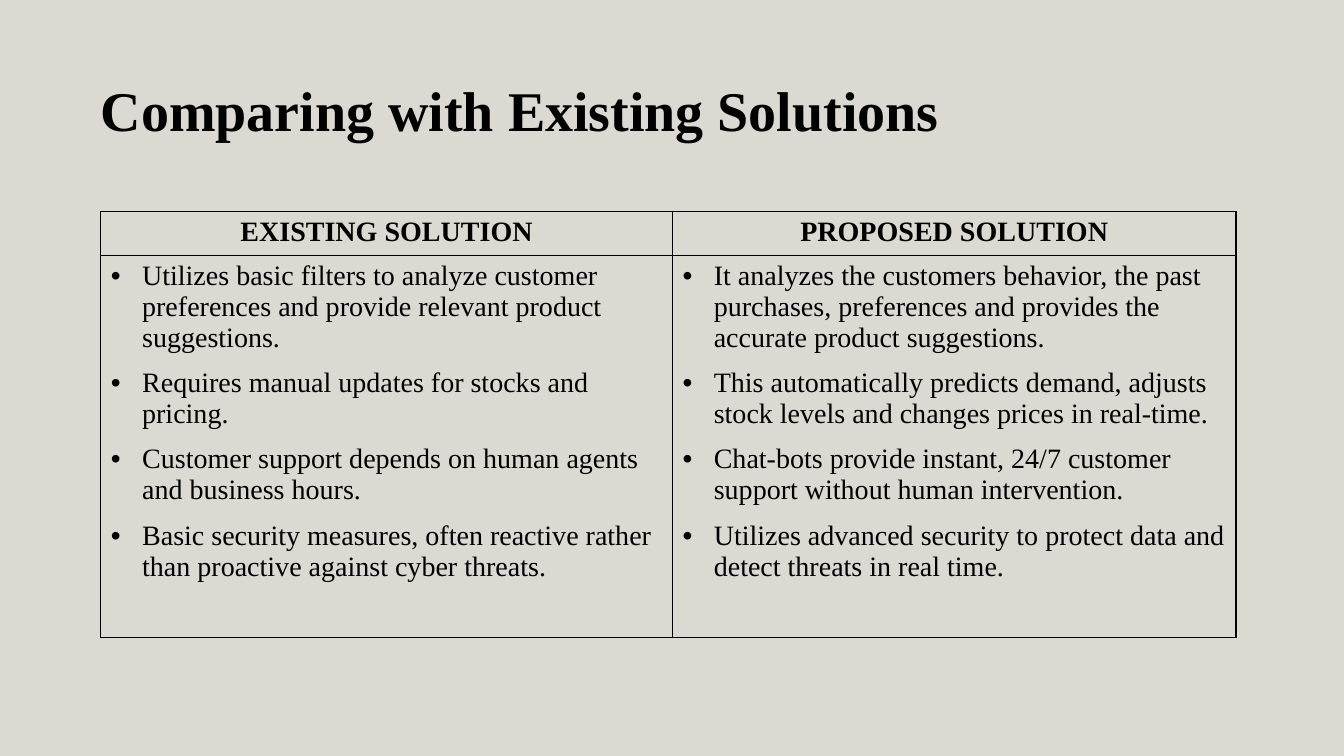
"""Build a slide that compares the existing solution with the proposed one."""
from lxml import etree
from pptx import Presentation
from pptx.dml.color import RGBColor
from pptx.enum.shapes import MSO_SHAPE
from pptx.enum.text import PP_ALIGN
from pptx.oxml.ns import qn
from pptx.util import Inches, Pt

RECTANGLE = MSO_SHAPE.RECTANGLE
CENTER, LEFT = PP_ALIGN.CENTER, PP_ALIGN.LEFT

THEME = {
    "font": "Times New Roman",
    "ink": "000000",
    "backdrop": "F5F5DC",
    "veil": "A9A2BE",
    "veil_alpha": 33000,
    "title_size": 40,
    "table_size": 20,
}

COMPARISON = {
    "EXISTING SOLUTION": [
        "Utilizes basic filters to analyze customer preferences and provide relevant product suggestions.",
        "Requires manual updates for stocks and pricing.",
        "Customer support depends on human agents and business hours.",
        "Basic security measures, often reactive rather than proactive against cyber threats.",
    ],
    "PROPOSED SOLUTION": [
        "It analyzes the customers behavior, the past purchases, preferences and provides the accurate product suggestions.",
        "This automatically predicts demand, adjusts stock levels and changes prices in real-time.",
        "Chat-bots provide instant, 24/7 customer support without human intervention.",
        "Utilizes advanced security to protect data and detect threats in real time.",
    ],
}
COLUMN_WIDTHS = [5.67, 5.59]
ROW_HEIGHTS = [0.43, 3.79]


def write(paragraph, text, size, bold, align=LEFT):
    paragraph.alignment = align
    run = paragraph.add_run()
    run.text = text
    for name, value in {"name": THEME["font"], "size": Pt(size), "bold": bold}.items():
        setattr(run.font, name, value)
    run.font.color.rgb = RGBColor.from_string(THEME["ink"])


def outline(cell):
    cell.fill.background()
    properties = cell._tc.get_or_add_tcPr()
    for position, side in enumerate(["lnL", "lnR", "lnT", "lnB"]):
        border = etree.Element(qn(f"a:{side}"), w=str(Pt(1)))
        solid = etree.SubElement(border, qn("a:solidFill"))
        etree.SubElement(solid, qn("a:srgbClr"), val=THEME["ink"])
        properties.insert(position, border)


presentation = Presentation()
presentation.slide_width = Inches(13.33)
presentation.slide_height = Inches(7.5)
slide = presentation.slides.add_slide(presentation.slide_layouts[6])
slide.background.fill.solid()
slide.background.fill.fore_color.rgb = RGBColor.from_string(THEME["backdrop"])

veil = slide.shapes.add_shape(RECTANGLE, 0, 0, Inches(13.33), Inches(7.5))
veil.shadow.inherit = False
veil.line.fill.background()
veil.fill.solid()
veil.fill.fore_color.rgb = RGBColor.from_string(THEME["veil"])
veil_color = veil.fill._xPr.find(".//" + qn("a:srgbClr"))
etree.SubElement(veil_color, qn("a:alpha"), val=str(THEME["veil_alpha"]))

title = slide.shapes.add_textbox(Inches(1), Inches(0.73), Inches(10.39), Inches(0.69)).text_frame
title_format = {
    "word_wrap": True,
    "margin_left": 0,
    "margin_top": Inches(0.02),
    "margin_right": 0,
    "margin_bottom": 0,
}
for name, value in title_format.items():
    setattr(title, name, value)
title.paragraphs[0].space_before = Pt(1.3)
write(title.paragraphs[0], "Comparing with Existing Solutions", THEME["title_size"], True)

table = slide.shapes.add_table(
    2, 2, Inches(1), Inches(2.1), Inches(sum(COLUMN_WIDTHS)), Inches(sum(ROW_HEIGHTS))
).table
table.first_row = False
table.horz_banding = False
for row, height in zip(table.rows, ROW_HEIGHTS):
    row.height = Inches(height)

for index, (heading, points) in enumerate(COMPARISON.items()):
    table.columns[index].width = Inches(COLUMN_WIDTHS[index])
    heading_cell, points_cell = table.cell(0, index), table.cell(1, index)
    outline(heading_cell)
    outline(points_cell)
    write(heading_cell.text_frame.paragraphs[0], heading, THEME["table_size"], True, CENTER)
    for number, point in enumerate(points):
        body = points_cell.text_frame
        paragraph = body.add_paragraph() if number else body.paragraphs[0]
        write(paragraph, point, THEME["table_size"], False)
        paragraph.space_after = Pt(10)
        bullet = paragraph._p.get_or_add_pPr()
        bullet.set("marL", str(Inches(0.31)))
        bullet.set("indent", str(-Inches(0.31)))
        etree.SubElement(bullet, qn("a:buFont"), typeface="Arial")
        etree.SubElement(bullet, qn("a:buChar"), char="•")

presentation.save("out.pptx")
